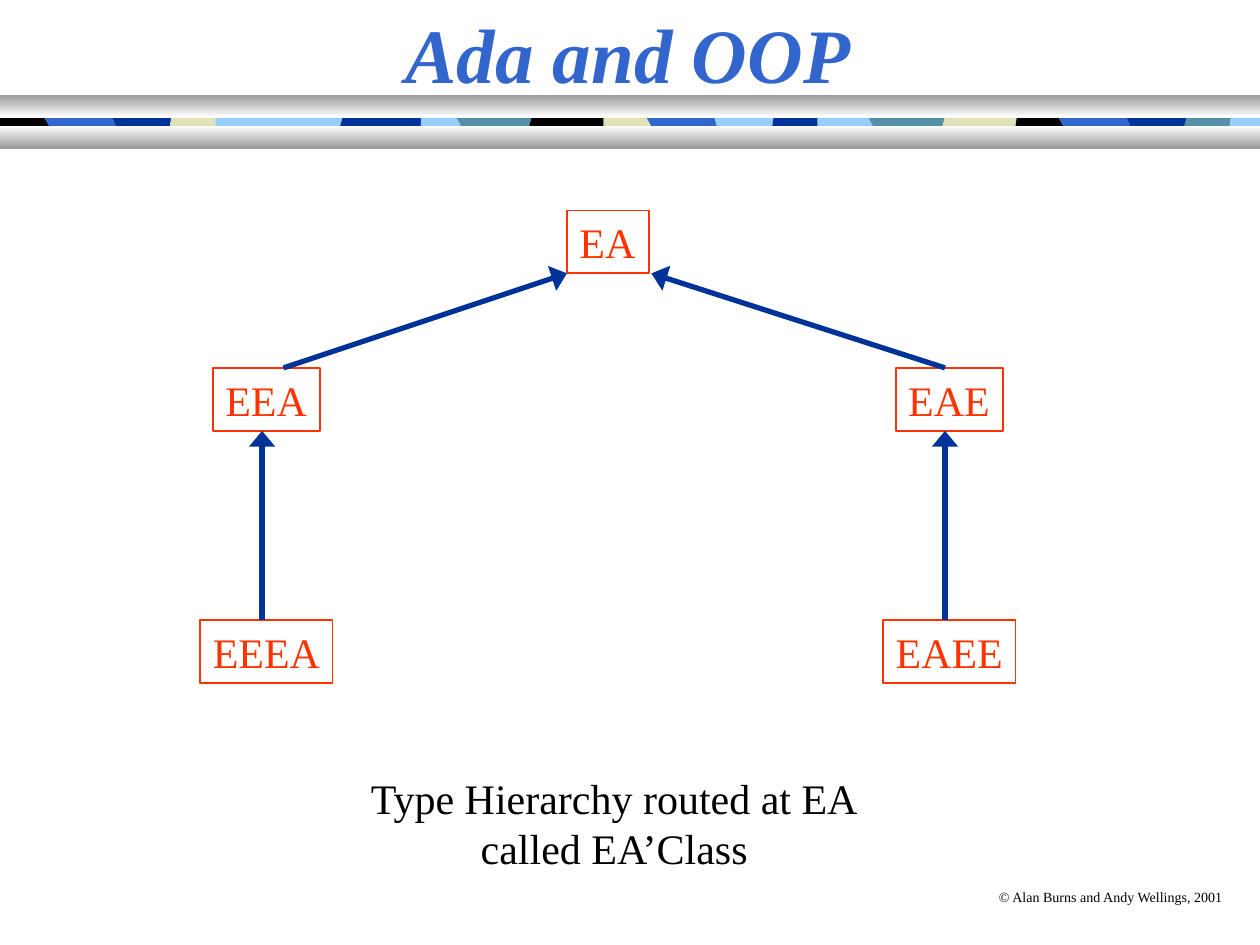
from lxml import etree
from pptx import Presentation
from pptx.dml.color import RGBColor
from pptx.enum.shapes import MSO_CONNECTOR as Connector, MSO_SHAPE as Shape
from pptx.enum.text import MSO_ANCHOR as Anchor, MSO_AUTO_SIZE as AutoSize, PP_ALIGN as Align
from pptx.oxml.ns import qn
from pptx.util import Inches, Pt

FONT = "Times New Roman"
BLACK = RGBColor(0x00, 0x00, 0x00)
WHITE = RGBColor(0xFF, 0xFF, 0xFF)
GRAY = RGBColor(0x98, 0x98, 0x98)
BLUE = RGBColor(0x33, 0x66, 0xCC)
NAVY = RGBColor(0x00, 0x33, 0x99)
SKY = RGBColor(0x99, 0xCC, 0xFF)
TEAL = RGBColor(0x54, 0x90, 0xA8)
BEIGE = RGBColor(0xE1, 0xE1, 0xB7)
RED = RGBColor(0xFF, 0x33, 0x00)

# Ribbon pieces: colour, then right edge at the top and bottom of the visible
# strip, in hundredths of an inch (freeform points are whole numbers)
RIBBON = [
    (BLACK, 35, 39), (BLUE, 89, 92), (NAVY, 136, 135), (BEIGE, 171, 171),
    (SKY, 272, 270), (NAVY, 334, 334), (SKY, 362, 366), (TEAL, 422, 420),
    (BLACK, 479, 479), (BEIGE, 513, 517), (BLUE, 567, 569), (SKY, 614, 613),
    (NAVY, 649, 649), (SKY, 689, 693), (TEAL, 750, 748), (BEIGE, 807, 806),
    (BLACK, 840, 844), (BLUE, 894, 897), (NAVY, 942, 940), (TEAL, 977, 976),
    (SKY, 1000, 1000),
]
RIBBON_LEVELS = (85, 93, 100, 113)

# Type boxes: name, left, top, width
TYPES = [
    ("EA", 4.5, 1.67, 0.65),
    ("EEA", 1.69, 2.92, 0.85),
    ("EEEA", 1.59, 4.92, 1.05),
    ("EAE", 7.11, 2.92, 0.85),
    ("EAEE", 7.01, 4.92, 1.05),
]

# Arrows from child to parent
ARROWS = [
    ((2.25, 2.92), (4.5, 2.17)),
    ((7.5, 2.92), (5.17, 2.17)),
    ((2.08, 4.92), (2.08, 3.42)),
    ((7.5, 4.92), (7.5, 3.42)),
]


def box(left, top, width, height):
    return [Inches(value) for value in (left, top, width, height)]


def write(shape, lines, size, color, align=Align.LEFT, wrap=False, anchor=Anchor.TOP):
    frame = shape.text_frame
    frame.word_wrap = wrap
    frame.auto_size = AutoSize.NONE if wrap else AutoSize.SHAPE_TO_FIT_TEXT
    frame.vertical_anchor = anchor
    frame.text = "\n".join(lines)
    for paragraph in frame.paragraphs:
        paragraph.alignment = align
        paragraph.font.name = FONT
        paragraph.font.size = Pt(size)
        paragraph.font.color.rgb = color
    return frame


def add_ribbon(slide):
    start = (0, 0)
    for color, *end in RIBBON:
        (left_top, left_bottom), (right_top, right_bottom) = start, end
        left_edge = zip((left_top, left_top, left_bottom, left_bottom), RIBBON_LEVELS)
        right_edge = zip((right_top, right_top, right_bottom, right_bottom), RIBBON_LEVELS)
        points = list(left_edge) + list(right_edge)[::-1]
        builder = slide.shapes.build_freeform(*points[0], scale=Inches(0.01))
        builder.add_line_segments(points[1:], close=True)
        piece = builder.convert_to_shape()
        piece.shadow.inherit = False
        piece.fill.solid()
        piece.fill.fore_color.rgb = color
        piece.line.fill.background()
        start = end


def add_bar(slide, top, upper_color, lower_color):
    bar = slide.shapes.add_shape(Shape.RECTANGLE, *box(0, top, 10, 0.18))
    bar.shadow.inherit = False
    bar.line.fill.background()
    bar.fill.gradient()
    bar.fill.gradient_angle = 270
    for stop, position, color in zip(bar.fill.gradient_stops, (0, 1), (upper_color, lower_color)):
        stop.position = position
        stop.color.rgb = color


def add_type(slide, name, left, top, width):
    shape = slide.shapes.add_shape(Shape.RECTANGLE, *box(left, top, width, 0.5))
    shape.shadow.inherit = False
    shape.fill.background()
    shape.line.color.rgb = RED
    shape.line.width = Pt(1)
    write(shape, [name], 24, RED)


def add_arrow(slide, start, end):
    arrow = slide.shapes.add_connector(Connector.STRAIGHT, *box(*start, *end))
    arrow.line.color.rgb = NAVY
    arrow.line.width = Pt(3)
    etree.SubElement(arrow.line._get_or_add_ln(), qn("a:tailEnd"),
                     type="triangle", w="lg", len="med")
    etree.SubElement(arrow._element.spPr, qn("a:effectLst"))


def add_text(slide, position, lines, size, color, **options):
    return write(slide.shapes.add_textbox(*box(*position)), lines, size, color, **options)


def main():
    presentation = Presentation()
    presentation.slide_width = Inches(10)
    presentation.slide_height = Inches(7.5)
    slide = presentation.slides.add_slide(presentation.slide_layouts[6])

    # Header band and copyright line
    add_ribbon(slide)
    add_bar(slide, 0.75, GRAY, WHITE)
    add_bar(slide, 1, WHITE, GRAY)
    add_text(slide, (7.83, 7, 2, 0.24), ["© Alan Burns and Andy Wellings, 2001"], 8, BLACK)

    # Title
    title = add_text(slide, (0, 0, 9.97, 0.83), ["Ada and OOP"], 44, BLUE,
                     align=Align.CENTER, wrap=True, anchor=Anchor.MIDDLE)
    title.paragraphs[0].font.bold = True
    title.paragraphs[0].font.italic = True

    # Type hierarchy
    for type_box in TYPES:
        add_type(slide, *type_box)
    for start, end in ARROWS:
        add_arrow(slide, start, end)

    # Caption
    add_text(slide, (2.83, 6.08, 4.09, 0.9),
             ["Type Hierarchy routed at EA", "called EA’Class"], 24, BLACK, align=Align.CENTER)

    presentation.save("out.pptx")


if __name__ == "__main__":
    main()
